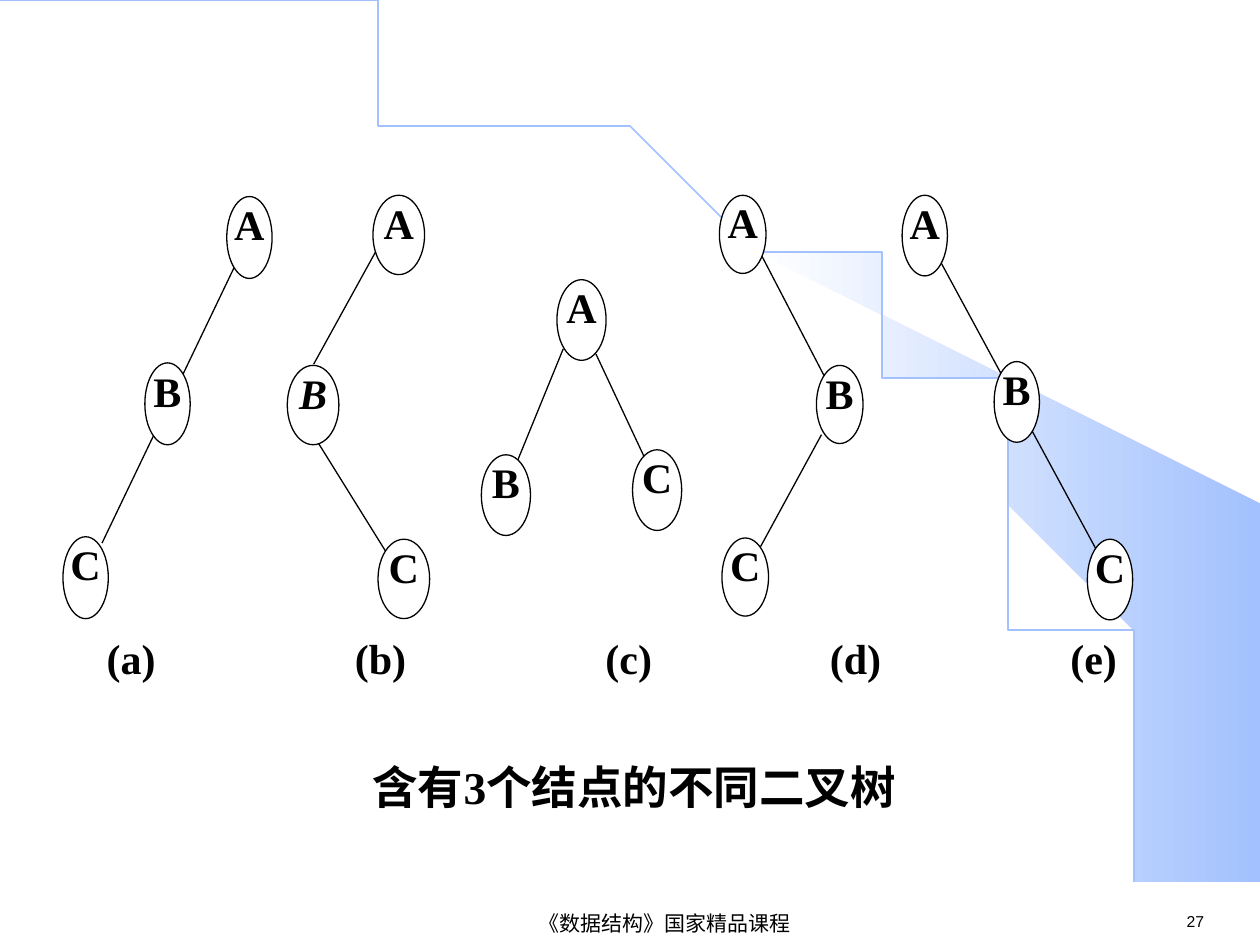
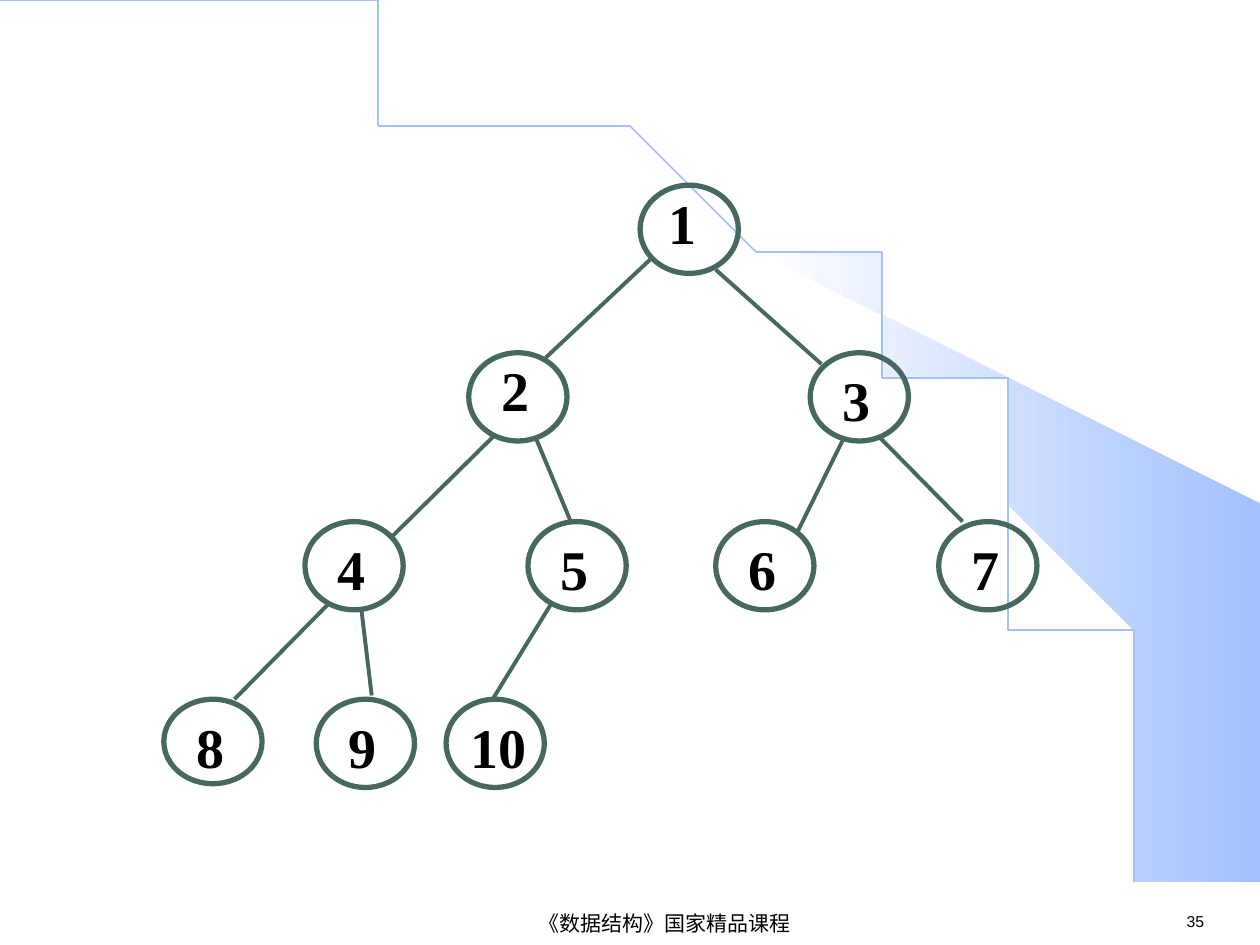
from dataclasses import dataclass
from math import cos, pi, sin

from lxml.etree import SubElement
from pptx import Presentation
from pptx.dml.color import RGBColor as RGB
from pptx.enum.shapes import MSO_CONNECTOR as CONN, MSO_SHAPE as SHAPE
from pptx.enum.text import MSO_ANCHOR as ANCHOR, PP_ALIGN as ALIGN
from pptx.oxml.ns import qn
from pptx.util import Inches, Pt


@dataclass(frozen=True)
class Theme:
    ink: RGB = RGB(0, 0, 0)
    paper: RGB = RGB(0xFF, 0xFF, 0xFF)
    sky: RGB = RGB(0xA2, 0xC1, 0xFE)
    green: RGB = RGB(0x46, 0x68, 0x61)
    sans: str = "Arial"
    serif: str = "Times New Roman"
    page: int = 9
    footer: int = 12
    letter: int = 24
    caption: int = 26
    number: int = 32
    thin: float = 0.75
    arc: float = 1
    branch: float = 2.25
    ring: float = 3


T = Theme()
FOOTER = "《数据结构》国家精品课程"
WEDGE = [
    (9.2, 7.48), (9.99, 7.49), (9.99, 4.23), (5.89, 1.73), (6.24, 1.99),
    (6.53, 2.22), (6.85, 2.5), (7.16, 2.8), (7.62, 3.3), (8.03, 3.84),
    (8.32, 4.31), (8.58, 4.79), (8.78, 5.28), (8.93, 5.72), (9.03, 6.09),
    (9.13, 6.56), (9.17, 6.96),
]
ARC_WIDTH, ARC_HEIGHT, ARC_STEPS = 9.2, 7.49, 90

TREES = [
    ((0.36, 0.65),
     [("A", 1.8, 1.56), ("B", 1.15, 2.88), ("C", 0.5, 4.26)],
     [(0.81, 4.31, 1.86, 2.12)]),
    ((0.41, 0.63),
     [("A", 2.96, 1.55), ("B", 2.28, 2.9), ("C", 3, 4.28)],
     [(3.03, 1.91, 2.49, 2.89), (2.51, 3.49, 3.07, 4.39)]),
    ((0.39, 0.64),
     [("A", 4.42, 2.22), ("B", 3.82, 3.61), ("C", 5.02, 3.57)],
     [(4.47, 2.77, 4.11, 3.65), (4.73, 2.81, 5.11, 3.62)]),
    ((0.37, 0.62),
     [("A", 5.71, 1.55), ("B", 6.48, 2.9), ("C", 5.73, 4.27)],
     [(6.03, 2, 6.55, 3), (6.52, 3.45, 6.03, 4.35)]),
    ((0.36, 0.64),
     [("A", 7.16, 1.55), ("B", 7.89, 2.87), ("C", 8.63, 4.28)],
     [(7.32, 1.81, 8.7, 4.36)]),
]
ITALIC_NODE = (1, "B")
LABEL_CENTRES = [0.69, 2.67, 4.64, 6.44, 8.33]

RING_WIDTH, RING_HEIGHT = 0.78, 0.7
RINGS = [
    ("1", 5.08, 1.47), ("2", 3.72, 2.8), ("3", 6.43, 2.8), ("4", 2.42, 4.14),
    ("5", 4.19, 4.14), ("6", 5.68, 4.14), ("7", 7.45, 4.14),
    ("8", 1.3, 5.55), ("9", 2.51, 5.55), ("10", 3.54, 5.55),
]
RING_HEIGHTS = {"8": 0.67}
NUMBER_BOX = (0.09, 0, 0.56)
NUMBER_BOXES = {"1": (0.06, -0.08, 0.56), "2": (0.09, -0.08, 0.56), "10": (0, 0, 0.84)}
BRANCHES = [
    (5.16, 2.06, 4.33, 2.84), (5.68, 2.14, 6.52, 2.89),
    (3.91, 3.47, 3.11, 4.26), (4.25, 3.47, 4.53, 4.14),
    (6.7, 3.47, 6.33, 4.22), (6.98, 3.47, 7.64, 4.14),
    (2.6, 4.8, 1.86, 5.55), (2.87, 4.85, 2.95, 5.52),
    (4.37, 4.8, 3.91, 5.55),
]


def write(s, text, size, font=T.serif, bold=True, align=ALIGN.CENTER,
          spacing=None, inset=(0, 0), anchor=ANCHOR.TOP, wrap=True):
    tf = s.text_frame
    tf.word_wrap = wrap
    tf.vertical_anchor = anchor
    tf.margin_left = tf.margin_right = Inches(inset[0])
    tf.margin_top = tf.margin_bottom = Inches(inset[1])
    p = tf.paragraphs[0]
    p.add_run().text = text
    p.alignment = align
    p.line_spacing = spacing
    p.font.name, p.font.size, p.font.bold = font, Pt(size), bold
    p.font.color.rgb = T.ink
    return p


def add_box(slide, shape, at, fill=None, line=None, width=T.thin):
    s = slide.shapes.add_shape(shape, *map(Inches, at))
    s.shadow.inherit = False
    if fill is None:
        s.fill.background()
    else:
        s.fill.solid()
        s.fill.fore_color.rgb = fill
    if line is None:
        s.line.fill.background()
    else:
        s.line.color.rgb = line
        s.line.width = Pt(width)
    return s


def add_text(slide, at, text, size, **style):
    s = slide.shapes.add_textbox(*map(Inches, at))
    return write(s, text, size, inset=(0.1, 0.05), **style)


def add_edge(slide, ends, color, width):
    s = slide.shapes.add_connector(CONN.STRAIGHT, *map(Inches, ends))
    s.line.color.rgb = color
    s.line.width = Pt(width)
    SubElement(s._element.spPr, qn("a:effectLst"))


def add_outline(slide, points, close):
    builder = slide.shapes.build_freeform(*points[0], scale=Inches(1))
    builder.add_line_segments(points[1:], close=close)
    s = builder.convert_to_shape()
    s.shadow.inherit = False
    return s


def add_tabs(p, centres):
    tabs = SubElement(p._p.get_or_add_pPr(), qn("a:tabLst"))
    for x in centres:
        SubElement(tabs, qn("a:tab"), pos=str(Inches(x)), algn="ctr")


def add_backdrop(slide, page):
    wedge = add_outline(slide, WEDGE, True)
    wedge.line.fill.background()
    wedge.fill.gradient()
    wedge.fill.gradient_angle = 0
    for stop, color, position in zip(wedge.fill.gradient_stops, (T.paper, T.sky), (0, 1)):
        stop.color.rgb = color
        stop.position = position

    angles = [i * pi / 2 / ARC_STEPS for i in range(ARC_STEPS + 1)]
    points = [(ARC_WIDTH * sin(a), ARC_HEIGHT * (1 - cos(a))) for a in angles]
    arc = add_outline(slide, points, False)
    arc.fill.background()
    arc.line.color.rgb = T.sky
    arc.line.width = Pt(T.arc)

    plain = dict(font=T.sans, bold=False, wrap=False)
    add_text(slide, (9.32, 7.19, 0.77, 0.25), str(page), T.page, align=ALIGN.LEFT, **plain)
    add_text(slide, (2.4, 7.21, 5.75, 0.24), FOOTER, T.footer, anchor=ANCHOR.MIDDLE, **plain)


def add_slide(prs, page):
    slide = prs.slides.add_slide(prs.slide_layouts[6])
    add_backdrop(slide, page)
    return slide


def add_tree(slide, index, size, nodes, edges):
    for ends in edges:
        add_edge(slide, ends, T.ink, T.thin)
    for name, x, y in nodes:
        s = add_box(slide, SHAPE.OVAL, (x, y, *size), T.paper, T.ink)
        p = write(s, name, T.letter, spacing=0.8, wrap=False)
        if (index, name) == ITALIC_NODE:
            p.font.italic = True


def add_labels(slide):
    s = add_box(slide, SHAPE.RECTANGLE, (0.35, 5.1, 8.58, 0.45), T.paper)
    p = s.text_frame.paragraphs[0]
    p.line_spacing = 0.8
    add_tabs(p, LABEL_CENTRES)
    text = "".join(f"\t({letter})" for letter in "abcde")
    write(s, text, T.letter, align=ALIGN.LEFT, spacing=0.8)


def add_ring(slide, name, x, y):
    height = RING_HEIGHTS.get(name, RING_HEIGHT)
    add_box(slide, SHAPE.FLOWCHART_CONNECTOR, (x, y, RING_WIDTH, height),
            line=T.green, width=T.ring)
    dx, dy, width = NUMBER_BOXES.get(name, NUMBER_BOX)
    add_text(slide, (x + dx, y + dy, width, 0.69), name, T.number, spacing=1.1)


def build_three_node_trees(prs):
    slide = add_slide(prs, 27)
    for index, tree in enumerate(TREES):
        add_tree(slide, index, *tree)
    add_labels(slide)
    s = add_box(slide, SHAPE.RECTANGLE, (2.48, 6.11, 5.11, 0.51), T.paper)
    write(s, "含有3个结点的不同二叉树", T.caption, spacing=0.8)


def build_complete_tree(prs):
    slide = add_slide(prs, 35)
    for ring in RINGS:
        add_ring(slide, *ring)
    for ends in BRANCHES:
        add_edge(slide, ends, T.green, T.branch)


def main():
    prs = Presentation()
    prs.slide_width, prs.slide_height = Inches(10), Inches(7.5)
    build_three_node_trees(prs)
    build_complete_tree(prs)
    prs.save("out.pptx")


if __name__ == "__main__":
    main()
